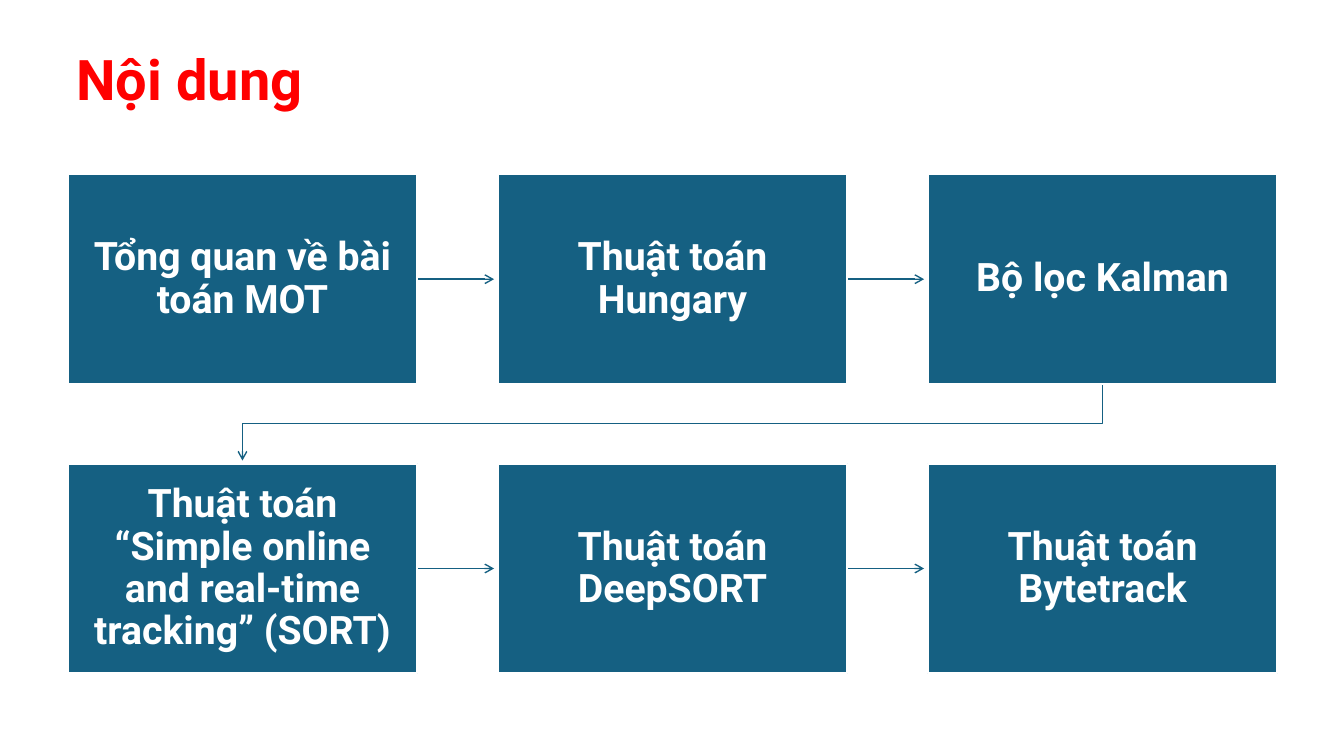
from dataclasses import dataclass

from lxml.etree import SubElement
from pptx import Presentation
from pptx.dml.color import RGBColor
from pptx.enum.shapes import MSO_CONNECTOR as Connector, MSO_SHAPE as Shape
from pptx.enum.text import MSO_ANCHOR as Anchor, PP_ALIGN as Align
from pptx.oxml.ns import qn
from pptx.util import Inches, Pt

RED = RGBColor(0xFF, 0x00, 0x00)
BLUE = RGBColor(0x15, 0x60, 0x82)
WHITE = RGBColor(0xFF, 0xFF, 0xFF)

FONT = "Roboto"
LEFT, TOP = 0.67, 1.73
BOX_WIDTH, BOX_HEIGHT = 3.47, 2.08
COLUMN_STEP, ROW_STEP = 4.265, 2.87
COLUMNS = 3
ARROW_LENGTH = 0.76
ARROW_GAP = 0.03

TOPICS = (
    "Tổng quan về bài toán MOT",
    "Thuật toán Hungary",
    "Bộ lọc Kalman",
    "Thuật toán “Simple online and real-time tracking” (SORT)",
    "Thuật toán DeepSORT",
    "Thuật toán Bytetrack",
)


@dataclass(frozen=True)
class Step:
    topic: str
    left: float
    top: float

    @property
    def right(self) -> float:
        return self.left + BOX_WIDTH

    @property
    def bottom(self) -> float:
        return self.top + BOX_HEIGHT

    @property
    def center(self) -> float:
        return self.left + BOX_WIDTH / 2

    @property
    def middle(self) -> float:
        return self.top + BOX_HEIGHT / 2


def write_text(frame, text: str, *, size: float, color: RGBColor,
               align=Align.LEFT, margins=(0.1, 0.05)) -> None:
    frame.word_wrap = True
    frame.vertical_anchor = Anchor.MIDDLE
    frame.margin_left = frame.margin_right = Inches(margins[0])
    frame.margin_top = frame.margin_bottom = Inches(margins[1])
    paragraph = frame.paragraphs[0]
    paragraph.alignment = align
    paragraph.line_spacing = 0.9
    run = paragraph.add_run()
    run.text = text
    run.font.name = FONT
    run.font.size = Pt(size)
    run.font.bold = True
    run.font.color.rgb = color


def style_arrow(arrow) -> None:
    arrow.line.color.rgb = BLUE
    arrow.line.width = Pt(1)
    SubElement(arrow.line._get_or_add_ln(), qn("a:tailEnd"), type="arrow")


def draw_straight_arrow(slide, start: Step) -> None:
    y = Inches(start.middle)
    arrow = slide.shapes.add_connector(
        Connector.STRAIGHT, Inches(start.right), y,
        Inches(start.right + ARROW_LENGTH), y)
    style_arrow(arrow)
    SubElement(arrow._element.spPr, qn("a:effectLst"))


def draw_row_turn(slide, start: Step, end: Step) -> None:
    turn = (start.bottom + end.top) / 2
    corners = ((start.center, turn), (end.center, turn),
               (end.center, end.top - ARROW_GAP))
    builder = slide.shapes.build_freeform(
        Inches(start.center), Inches(start.bottom))
    builder.add_line_segments(
        [(Inches(x), Inches(y)) for x, y in corners], close=False)
    arrow = builder.convert_to_shape()
    arrow.fill.background()
    arrow.shadow.inherit = False
    style_arrow(arrow)


def draw_step(slide, step: Step) -> None:
    box = slide.shapes.add_shape(
        Shape.RECTANGLE, Inches(step.left), Inches(step.top),
        Inches(BOX_WIDTH), Inches(BOX_HEIGHT))
    box.shadow.inherit = False
    box.fill.solid()
    box.fill.fore_color.rgb = BLUE
    box.line.color.rgb = WHITE
    box.line.width = Pt(1.5)
    write_text(box.text_frame, step.topic, size=28, color=WHITE,
               align=Align.CENTER, margins=(0.17, 0.18))


def main() -> None:
    presentation = Presentation()
    presentation.slide_width = Inches(13.33)
    presentation.slide_height = Inches(7.5)
    slide = presentation.slides.add_slide(presentation.slide_layouts[6])

    title = slide.shapes.add_textbox(
        Inches(0.66), Inches(0.37), Inches(11.5), Inches(0.9))
    write_text(title.text_frame, "Nội dung", size=40, color=RED)

    steps = [
        Step(topic, LEFT + index % COLUMNS * COLUMN_STEP,
             TOP + index // COLUMNS * ROW_STEP)
        for index, topic in enumerate(TOPICS)
    ]
    for start, end in zip(steps, steps[1:]):
        if start.top == end.top:
            draw_straight_arrow(slide, start)
        else:
            draw_row_turn(slide, start, end)
    for step in steps:
        draw_step(slide, step)

    presentation.save("out.pptx")


if __name__ == "__main__":
    main()
